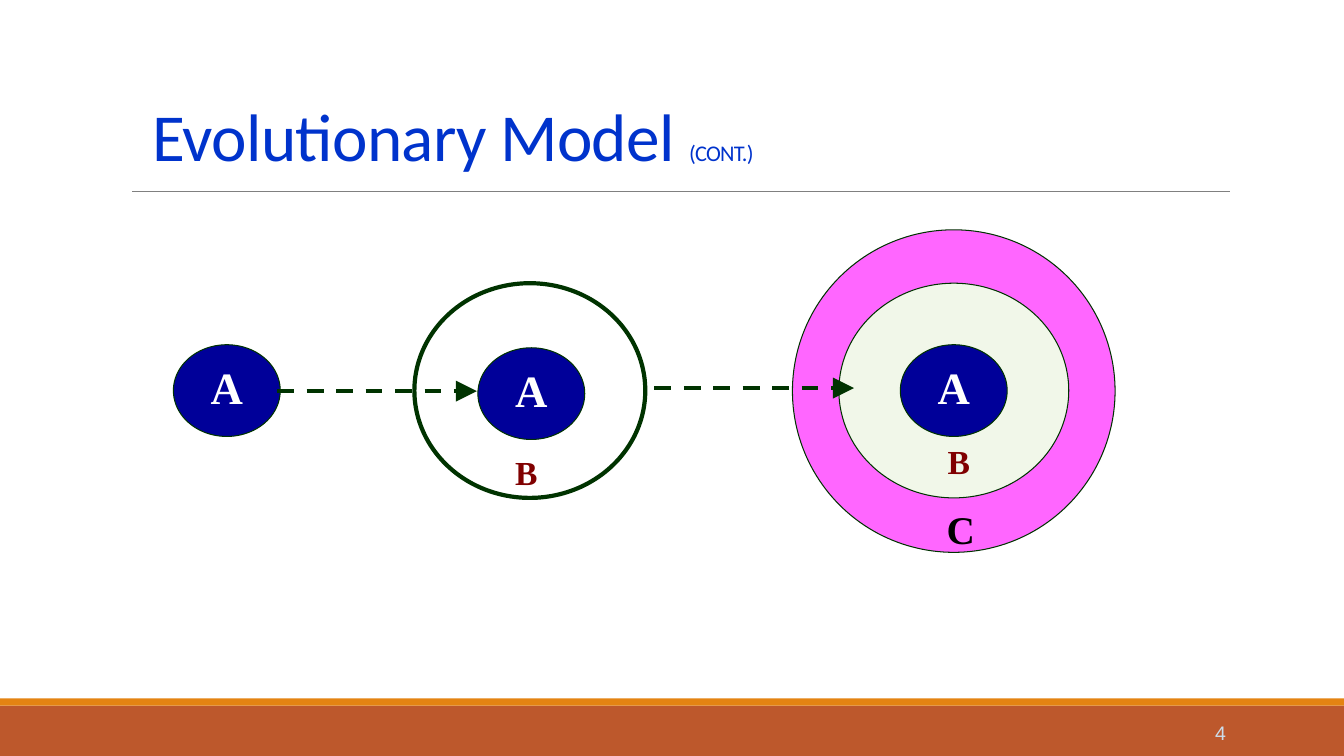
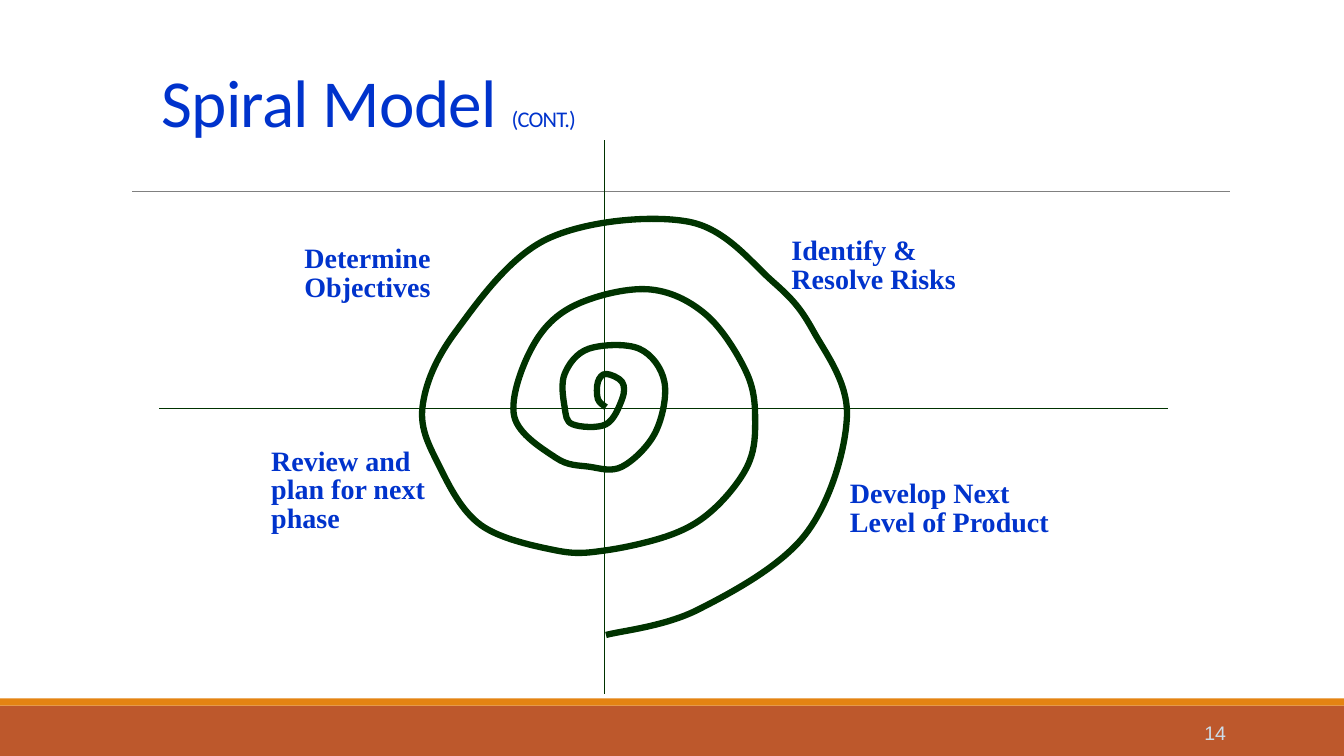
from lxml.etree import SubElement
from pptx import Presentation
from pptx.dml.color import RGBColor
from pptx.enum.dml import MSO_LINE
from pptx.enum.shapes import MSO_CONNECTOR, MSO_SHAPE
from pptx.enum.text import MSO_ANCHOR, MSO_AUTO_SIZE, PP_ALIGN
from pptx.oxml.ns import qn
from pptx.util import Inches, Pt

GREEN, BLUE, NAVY, MAROON = "003300", "0033CC", "000099", "800000"
SERIF = "Times New Roman"
rgb = RGBColor.from_string


def write(shape, text, size, color, font=SERIF, bold=True, align=PP_ALIGN.LEFT,
          anchor=MSO_ANCHOR.TOP, inset=0.02, spacing=0.85):
    """Fill a shape with one formatted paragraph and return that paragraph."""
    frame = shape.text_frame
    frame.text = text
    frame.word_wrap = True
    frame.auto_size = MSO_AUTO_SIZE.NONE
    frame.vertical_anchor = anchor
    frame.margin_left = frame.margin_right = Inches(inset)
    frame.margin_top = frame.margin_bottom = Inches(0.05)
    paragraph = frame.paragraphs[0]
    paragraph.alignment = align
    paragraph.line_spacing = spacing
    paragraph.space_before = Pt(0)
    for run in paragraph.runs:
        run.font.size = Pt(size)
        run.font.name = font
        run.font.bold = bold
        run.font.color.rgb = rgb(color)
    return paragraph


def add_line(slide, x1, y1, x2, y2, color=GREEN, width=0.75, arrow=False):
    """Add a straight line without shadow; an arrow is dashed."""
    line = slide.shapes.add_connector(
        MSO_CONNECTOR.STRAIGHT, Inches(x1), Inches(y1), Inches(x2), Inches(y2))
    line.line.color.rgb = rgb(color)
    line.line.width = Pt(width)
    properties = line.element.spPr
    if arrow:
        line.line.dash_style = MSO_LINE.DASH
        SubElement(properties.find(qn("a:ln")), qn("a:tailEnd"),
                   type="triangle", w="lg", len="lg")
    SubElement(properties, qn("a:effectLst"))
    return line


prs = Presentation()
prs.slide_width, prs.slide_height = Inches(13.33), Inches(7.5)
layout = prs.slide_layouts[5]

# Titles and page numbers
slides = []
for heading, left, top, number in [("Evolutionary Model ", 1.49, 0.77, "4"),
                                   ("Spiral Model ", 1.58, 0.44, "14")]:
    slide = prs.slides.add_slide(layout)
    slides.append(slide)
    title = slide.shapes.title
    title.left, title.top = Inches(left), Inches(top)
    title.width, title.height = Inches(8.5), Inches(1.25)
    paragraph = write(title, heading, 48, BLUE, "Calibri", False, anchor=MSO_ANCHOR.MIDDLE)
    suffix = paragraph.add_run()
    suffix.text = "(CONT.)"
    suffix.font.size = Pt(16)
    suffix.font.name = "Calibri"
    suffix.font.color.rgb = rgb(BLUE)
    for properties in title.element.iter(qn("a:rPr")):
        properties.set("spc", "-50")
    page = slide.shapes.add_textbox(Inches(10.83), Inches(7.07), Inches(1.43), Inches(0.4))
    write(page, number, 14, "CCDDEA", "Arial", False, PP_ALIGN.RIGHT,
          MSO_ANCHOR.MIDDLE, inset=0.1, spacing=1)

evolution, spiral = slides

# Footer bands and title rule belong to the shared layout
decorations = [add_line(evolution, 1.31, 1.9, 12.2, 1.9, "808080", 0.5)]
for top, height, color in [(7, 0.5, "BD582C"), (6.93, 0.07, "E48312")]:
    band = evolution.shapes.add_shape(
        MSO_SHAPE.RECTANGLE, 0, Inches(top), prs.slide_width, Inches(height))
    band.shadow.inherit = False
    band.fill.solid()
    band.fill.fore_color.rgb = rgb(color)
    band.line.fill.background()
    decorations.append(band)
for decoration in decorations:
    layout.shapes.element.append(decoration.element)

# Evolutionary model: versions grow in rings around the core A
for left, top, width, height, fill, outline, label in [
    (7.86, 2.28, 3.2, 3.2, "FF66FF", 0.75, ""),
    (8.32, 2.81, 2.28, 2.13, "F1F7E9", 0.75, ""),
    (4.11, 2.81, 2.29, 2.13, None, 3, ""),
    (1.72, 3.42, 1.06, 0.91, NAVY, 0.75, "A"),
    (4.74, 3.45, 1.06, 0.91, NAVY, 0.75, "A"),
    (8.93, 3.42, 1.06, 0.91, NAVY, 0.75, "A"),
]:
    ring = evolution.shapes.add_shape(
        MSO_SHAPE.OVAL, Inches(left), Inches(top), Inches(width), Inches(height))
    ring.shadow.inherit = False
    if fill:
        ring.fill.solid()
        ring.fill.fore_color.rgb = rgb(fill)
    else:
        ring.fill.background()
    ring.line.color.rgb = rgb(GREEN)
    ring.line.width = Pt(outline)
    if label:
        write(ring, label, 32, "FFFFFF", align=PP_ALIGN.CENTER, anchor=MSO_ANCHOR.MIDDLE)

for x, y in [(2.75, 3.88), (6.49, 3.85)]:
    add_line(evolution, x, y, x + 1.98, y, width=3, arrow=True)

# Spiral model: axes and a smooth curve through the knots
add_line(spiral, 6, 1.39, 6, 6.89)
add_line(spiral, 1.58, 4.05, 11.58, 4.05)

knots = [(Inches(x), Inches(y)) for x, y in [
    (6.01, 4.04), (5.93, 3.96), (5.93, 3.79), (6.01, 3.71), (6.17, 3.79), (6.17, 3.96),
    (6.01, 4.21), (5.68, 4.21), (5.6, 4.04), (5.6, 3.71), (5.84, 3.46), (6.34, 3.46),
    (6.59, 3.79), (6.5, 4.29), (6.17, 4.63), (5.84, 4.63), (5.51, 4.54), (5.1, 4.13),
    (5.27, 3.46), (5.68, 3.04), (6.42, 2.87), (7, 3.12), (7.41, 3.71), (7.49, 4.21),
    (7.41, 4.63), (7.08, 5.05), (6.67, 5.3), (6.01, 5.46), (5.51, 5.46), (4.77, 5.21),
    (4.36, 4.63), (4.19, 4.04), (4.52, 3.29), (5.43, 2.37), (6.83, 2.2), (7.66, 2.79),
    (8.07, 3.29), (8.4, 4.13), (7.99, 5.3), (6.92, 6.05), (6.01, 6.3),
]]
builder = spiral.shapes.build_freeform(*knots[0])
builder.add_line_segments(knots[1:], close=False)
curve = builder.convert_to_shape()
curve.shadow.inherit = False
curve.fill.background()
curve.line.color.rgb = rgb(GREEN)
curve.line.width = Pt(4.5)

# Bend each segment: its handles follow the neighbouring knots
padded = [knots[0], *knots, knots[-1]]
segments = list(curve.element.iter(qn("a:lnTo")))
for segment, quad in zip(segments, zip(padded, padded[1:], padded[2:], padded[3:])):
    segment.tag = qn("a:cubicBezTo")
    del segment[:]
    handles = [(b + (c - a) / 6, c - (d - b) / 6, c) for a, b, c, d in zip(*quad)]
    for x, y in zip(*handles):
        SubElement(segment, qn("a:pt"), x=str(round(x - curve.left)),
                   y=str(round(y - curve.top)))

# Labels of both diagrams
for slide, text, left, top, width, height, size, color in [
    (evolution, "B", 5.09, 4.5, 0.76, 0.91, 24, MAROON),
    (evolution, "B", 9.38, 4.39, 0.76, 0.91, 24, MAROON),
    (evolution, "C", 9.37, 5.04, 0.76, 1.04, 28, "000000"),
    (spiral, "Determine Objectives", 3, 2.39, 1.66, 0.77, 20, BLUE),
    (spiral, "Identify & Resolve Risks", 7.83, 2.31, 2, 0.77, 20, BLUE),
    (spiral, "Develop Next Level of Product", 8.41, 4.72, 2.33, 0.77, 20, BLUE),
    (spiral, "Review and plan for next phase", 2.67, 4.4, 2, 1.1, 20, BLUE),
]:
    caption = slide.shapes.add_textbox(
        Inches(left), Inches(top), Inches(width), Inches(height))
    write(caption, text, size, color)

prs.save("out.pptx")
